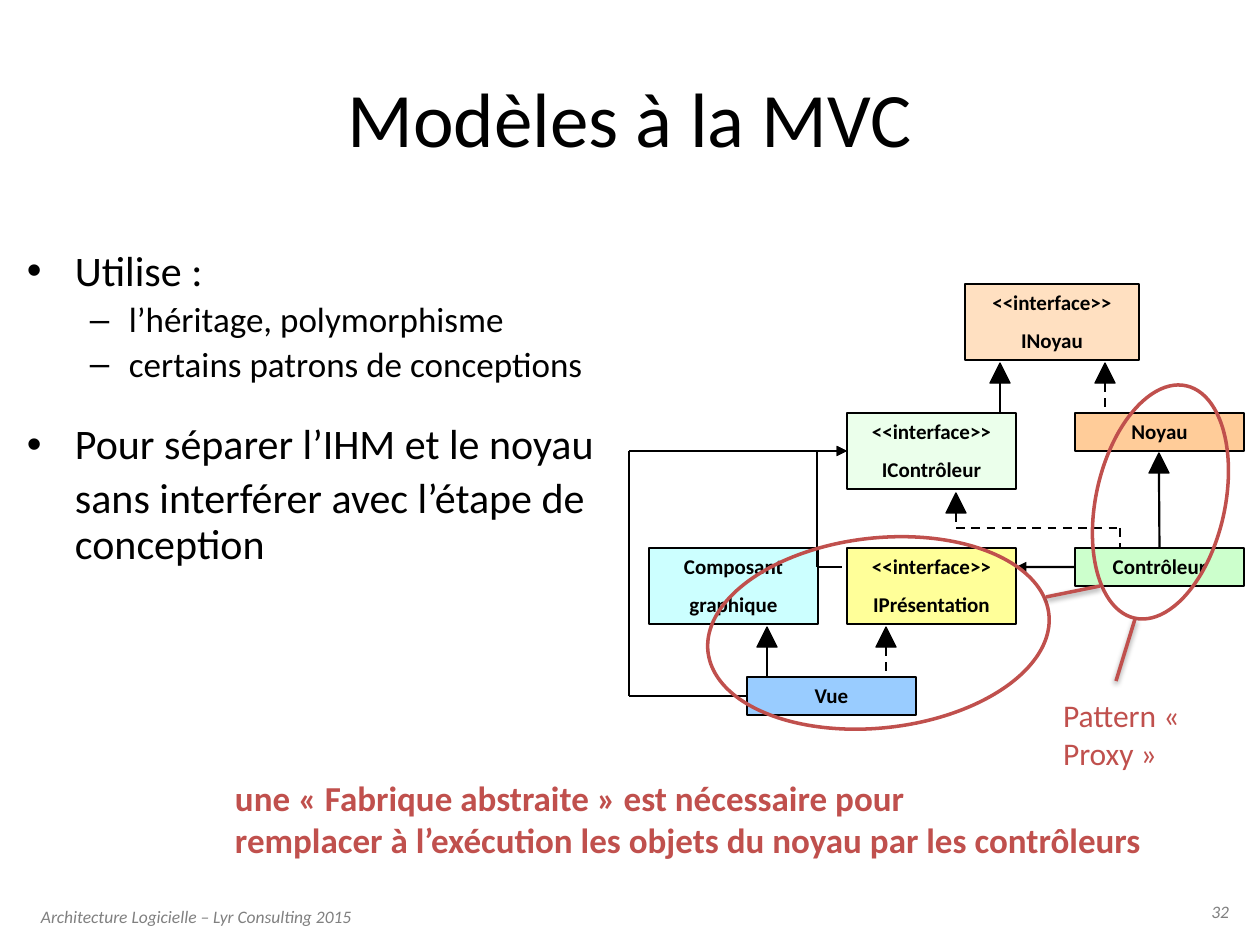
from lxml.etree import SubElement
from pptx import Presentation
from pptx.dml.color import RGBColor
from pptx.enum.dml import MSO_LINE as Dash
from pptx.enum.shapes import MSO_CONNECTOR as Conn, MSO_SHAPE as Kind
from pptx.enum.text import MSO_ANCHOR as Anchor, PP_ALIGN as Align
from pptx.oxml.ns import qn
from pptx.util import Pt

SCALE = 914400 / 126
TOP, LEFT = 0, 1
BLACK, RED, GREY = "000000", "C0504D", "808080"


def px(n):
    return round(n * SCALE)


def rgb(code):
    return RGBColor.from_string(code)


def put(frame, text, new=False, size=12, color=BLACK, bold=False, italic=False,
        align=Align.LEFT, before=0, spacing=None, left=0, hang=0, bullet=None):
    """Write one paragraph; a newline in the text is a line break."""
    para = frame.add_paragraph() if new else frame.paragraphs[0]
    para.text = text
    props = para._p.get_or_add_pPr()
    if left:
        props.set("marL", str(px(left)))
        props.set("indent", str(-px(hang)))
    if bullet:
        SubElement(props, qn("a:buFont"), typeface="Arial")
        SubElement(props, qn("a:buChar"), char=bullet)
    para.alignment = align
    para.space_before = Pt(before)
    if spacing:
        para.line_spacing = spacing
    for run in para.runs:
        font = run.font
        font.name, font.size = "Calibri", Pt(size)
        font.bold, font.italic = bold, italic
        font.color.rgb = rgb(color)


class Board:
    """Holds the style and the current slide."""
    inset = 6
    edge = 0.75
    stroke = 1.25
    mark = 2

    def __init__(self, slide):
        self.shapes = slide.shapes

    def pad(self, frame):
        frame.margin_left = frame.margin_right = px(self.inset)
        frame.margin_top = frame.margin_bottom = px(self.inset)

    def text(self, x, y, w, h, text="", wrap=True, anchor=Anchor.TOP, **look):
        frame = self.shapes.add_textbox(px(x), px(y), px(w), px(h)).text_frame
        frame.word_wrap = wrap
        frame.vertical_anchor = anchor
        self.pad(frame)
        if text:
            put(frame, text, **look)
        return frame

    def shape(self, kind, x, y, w, h, fill=None, line=BLACK, width=edge):
        item = self.shapes.add_shape(kind, px(x), px(y), px(w), px(h))
        item.shadow.inherit = False
        if fill:
            item.fill.solid()
            item.fill.fore_color.rgb = rgb(fill)
        else:
            item.fill.background()
        item.line.color.rgb = rgb(line)
        item.line.width = Pt(width)
        return item

    def box(self, x, y, fill, *rows, w=169):
        item = self.shape(Kind.RECTANGLE, x, y, w, 38 * len(rows), fill)
        frame = item.text_frame
        frame.vertical_anchor = Anchor.TOP
        self.pad(frame)
        for i, row in enumerate(rows):
            put(frame, row, new=i > 0, bold=True, align=Align.CENTER,
                before=7 if i else 0)
        return item

    def line(self, x1, y1, x2, y2, start=None, end=None, dash=False,
             arrow=False, color=BLACK, width=stroke, shade=False):
        """Draw a line; start and end are (shape, side) pairs to join."""
        item = self.shapes.add_connector(
            Conn.STRAIGHT, px(x1), px(y1), px(x2), px(y2))
        if start:
            item.begin_connect(*start)
        if end:
            item.end_connect(*end)
        item.line.color.rgb = rgb(color)
        item.line.width = Pt(width)
        if dash:
            item.line.dash_style = Dash.DASH
        if arrow:
            SubElement(item.line._ln, qn("a:tailEnd"), type="triangle")
        effects = SubElement(item._element.spPr, qn("a:effectLst"))
        if shade:
            cast = SubElement(effects, qn("a:outerShdw"), blurRad=str(Pt(3)),
                              dist=str(Pt(1.6)), dir="5400000", rotWithShape="0")
            tint = SubElement(cast, qn("a:srgbClr"), val=BLACK)
            SubElement(tint, qn("a:alpha"), val="38000")

    def head(self, x, y):
        """Draw a solid arrowhead with its tip at x, y."""
        self.shape(Kind.ISOSCELES_TRIANGLE, x - 10, y, 20, 20, BLACK)

    def rise(self, x, y, foot, **look):
        self.head(x, y)
        self.line(x, y + 20, x, foot, **look)

    def ring(self, x, y, w, h, turn):
        item = self.shape(Kind.OVAL, x, y, w, h, line=RED, width=self.mark)
        item.rotation = turn

    def link(self, *ends):
        self.line(*ends, color=RED, width=self.mark, shade=True)


def main():
    deck = Presentation()
    deck.slide_width, deck.slide_height = px(1260), px(945)
    board = Board(deck.slides.add_slide(deck.slide_layouts[6]))

    board.text(35, 900, 367, 40, "Architecture Logicielle – Lyr Consulting 2015",
               size=10, color=GREY, italic=True)
    board.text(1202, 895, 33, 32, "32", wrap=False, size=10, color=GREY,
               italic=True, align=Align.RIGHT)
    board.text(63, 38, 1134, 157, "Modèles à la MVC", anchor=Anchor.MIDDLE,
               size=44, align=Align.CENTER)

    body = board.text(21, 244, 629, 377)
    main_item = dict(size=24, left=48, hang=48, bullet="•", spacing=0.9)
    sub_item = dict(size=20, left=102, hang=39, bullet="–", spacing=0.9,
                    before=4, new=True)
    put(body, "Utilise :", **main_item)
    put(body, "l’héritage, polymorphisme", **sub_item)
    put(body, "certains patrons de conceptions", **sub_item)
    put(body, "Pour séparer l’IHM et le noyau", new=True, before=22, **main_item)
    put(body, "sans interférer avec l’étape de conception", new=True,
        size=24, left=48, spacing=0.9, before=5)

    tag = "<<interface>>"
    board.box(965, 284, "FFE0C1", tag, "INoyau", w=174)
    board.box(1075, 413, "FFCC99", "Noyau")
    control = board.box(1075, 548, "CCFFCC", "Contrôleur")
    icontrol = board.box(847, 413, "EBFFEB", tag, "IContrôleur")
    board.box(847, 548, "FFFF99", tag, "IPrésentation")
    view = board.box(747, 677, "99CCFF", "Vue")
    board.box(649, 548, "CCFFFF", "Composant", "graphique")

    board.rise(1105, 363, 413, dash=True)
    board.rise(1000, 363, 413)
    board.rise(1159, 453, 548, end=(control, TOP))
    board.rise(956, 493, 528, dash=True)
    board.line(956, 528, 1120, 528, dash=True)
    board.line(1120, 528, 1120, 547, dash=True)
    board.rise(767, 627, 677)
    board.rise(886, 627, 677, dash=True)
    board.line(1075, 567, 1016, 567, start=(control, LEFT), arrow=True)

    for x, foot in ((817, 567), (629, 696)):
        board.line(x, 451, 847, 451, end=(icontrol, LEFT), arrow=True)
        board.line(x, 451, x, foot)
    board.line(817, 567, 842, 567)
    board.line(629, 696, 747, 696, end=(view, LEFT))

    board.text(229, 770, 1016, 93,
               "une « Fabrique abstraite » est nécessaire pour\n"
               "remplacer à l’exécution les objets du noyau par les contrôleurs",
               size=20, color=RED, bold=True)
    board.ring(1096, 383, 129, 238, 12.5)
    board.link(1135, 619, 1116, 681)
    board.text(1057, 690, 169, 86, "Pattern « Proxy »", size=18, color=RED)
    board.ring(707, 538, 343, 190, -6.3)
    board.link(1046, 597, 1100, 586)

    deck.save("out.pptx")


if __name__ == "__main__":
    main()
